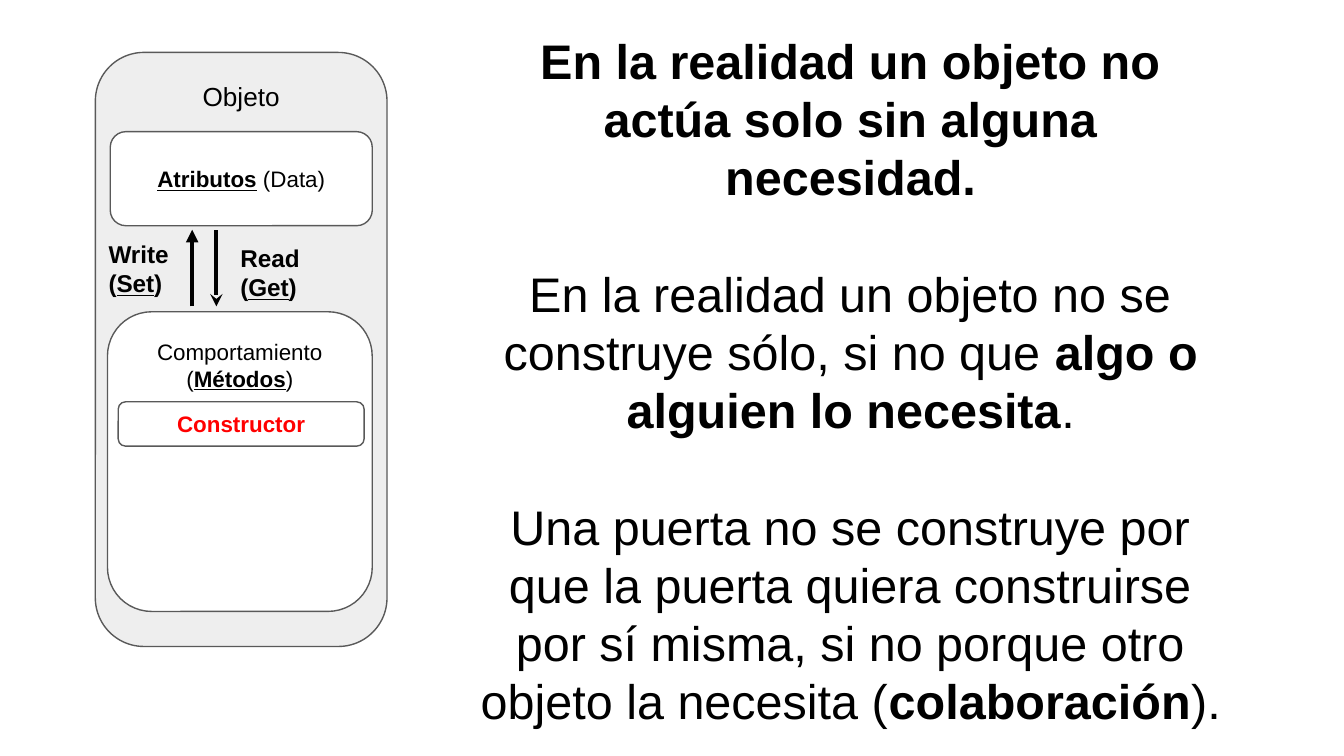
from dataclasses import dataclass

from lxml.etree import SubElement
from pptx import Presentation
from pptx.dml.color import RGBColor as Rgb
from pptx.enum.shapes import MSO_CONNECTOR as Link, MSO_SHAPE as Kind
from pptx.enum.text import MSO_ANCHOR as Anchor, PP_ALIGN as Align
from pptx.oxml.ns import qn
from pptx.util import Inches, Pt

COLORS = {"text": "000000", "accent": "FF0000", "panel": "EEEEEE",
          "card": "FFFFFF", "edge": "595959"}
FONT = "Arial"


@dataclass
class Run:
    text: str
    bold: bool = False
    under: bool = False


@dataclass
class Block:
    """A text area; each inner list of runs is one paragraph."""
    box: tuple[float, float, float, float]
    paras: list[list[Run]]
    size: int
    color: str = "text"
    align: Align = Align.CENTER
    anchor: Anchor = Anchor.TOP
    gap: float = 0


@dataclass
class Card:
    block: Block
    fill: str = "card"


@dataclass
class Arrow:
    x: float
    end: str
    head: str


def key(before: str, word: str, after: str, bold: bool = False) -> list[Run]:
    """Runs with one bold, underlined key word."""
    runs = [Run(before, bold), Run(word, True, True), Run(after, bold)]
    return [run for run in runs if run.text]


CARDS = [
    Card(Block((0.71, 0.39, 2.17, 4.42), [[Run("Objeto")]], 14), "panel"),
    Card(Block((0.82, 0.98, 1.95, 0.7), [key("", "Atributos", " (Data)")], 12,
               anchor=Anchor.MIDDLE)),
    Card(Block((0.8, 2.32, 1.97, 2.23),
               [key("Comportamiento (", "Métodos", ")")], 12)),
]
ARROWS = [Arrow(1.43, "tailEnd", "triangle"), Arrow(1.61, "headEnd", "stealth")]
LABELS = [
    Block((0.71, 1.68, 0.67, 0.64), [key("Write (", "Set", ")", True)], 13,
          align=Align.LEFT),
    Block((1.69, 1.71, 0.78, 0.64), [key("Read (", "Get", ")", True)], 13,
          align=Align.LEFT),
    Block((3.42, 0.13, 5.82, 5.45), [
        [Run("En la realidad un objeto no actúa solo sin alguna necesidad.",
             True)],
        [Run("En la realidad un objeto no se construye sólo, si no que "),
         Run("algo o alguien lo necesita", True), Run(".")],
        [Run("Una puerta no se construye por que la puerta quiera construirse "
             "por sí misma, si no porque otro objeto la necesita ("),
         Run("colaboración", True), Run(").")],
    ], 26, gap=31.2),
]
BUILDER = Card(Block((0.88, 2.99, 1.83, 0.33), [[Run("Constructor", True)]],
                     12, "accent", anchor=Anchor.MIDDLE))


def write(frame, block: Block) -> None:
    frame.word_wrap = True
    frame.vertical_anchor = block.anchor
    frame.margin_left = frame.margin_right = Inches(0.1)
    frame.margin_top = frame.margin_bottom = Inches(0.1)
    for i, runs in enumerate(block.paras):
        para = frame.add_paragraph() if i else frame.paragraphs[0]
        para.alignment = block.align
        if i and block.gap:
            para.space_before = Pt(block.gap)
        font = para.font
        font.name, font.size = FONT, Pt(block.size)
        font.color.rgb = Rgb.from_string(COLORS[block.color])
        same = len({run.bold for run in runs}) == 1
        if same:
            font.bold = runs[0].bold
        for run in runs:
            part = para.add_run()
            part.text = run.text
            if not same:
                part.font.bold = run.bold
            if run.under:
                part.font.underline = True


def draw_card(slide, card: Card) -> None:
    shape = slide.shapes.add_shape(Kind.ROUNDED_RECTANGLE,
                                   *map(Inches, card.block.box))
    shape.shadow.inherit = False
    shape.fill.solid()
    shape.fill.fore_color.rgb = Rgb.from_string(COLORS[card.fill])
    shape.line.color.rgb = Rgb.from_string(COLORS["edge"])
    shape.line.width = Pt(0.75)
    write(shape.text_frame, card.block)


def draw_arrow(slide, arrow: Arrow) -> None:
    x = Inches(arrow.x)
    link = slide.shapes.add_connector(Link.STRAIGHT, x, Inches(2.28),
                                      x, Inches(1.71))
    link.line.color.rgb = Rgb.from_string(COLORS["text"])
    link.line.width = Pt(2.25)
    props = link._element.spPr
    SubElement(props.find(qn("a:ln")), qn("a:" + arrow.end), type=arrow.head)
    SubElement(props, qn("a:effectLst"))


def draw_label(slide, block: Block) -> None:
    box = slide.shapes.add_textbox(*map(Inches, block.box))
    write(box.text_frame, block)


def main() -> None:
    deck = Presentation()
    deck.slide_width = Inches(10)
    deck.slide_height = deck.slide_width * 9 // 16
    slide = deck.slides.add_slide(deck.slide_layouts[6])
    for card in CARDS:
        draw_card(slide, card)
    for arrow in ARROWS:
        draw_arrow(slide, arrow)
    for block in LABELS:
        draw_label(slide, block)
    draw_card(slide, BUILDER)
    deck.save("out.pptx")


if __name__ == "__main__":
    main()
